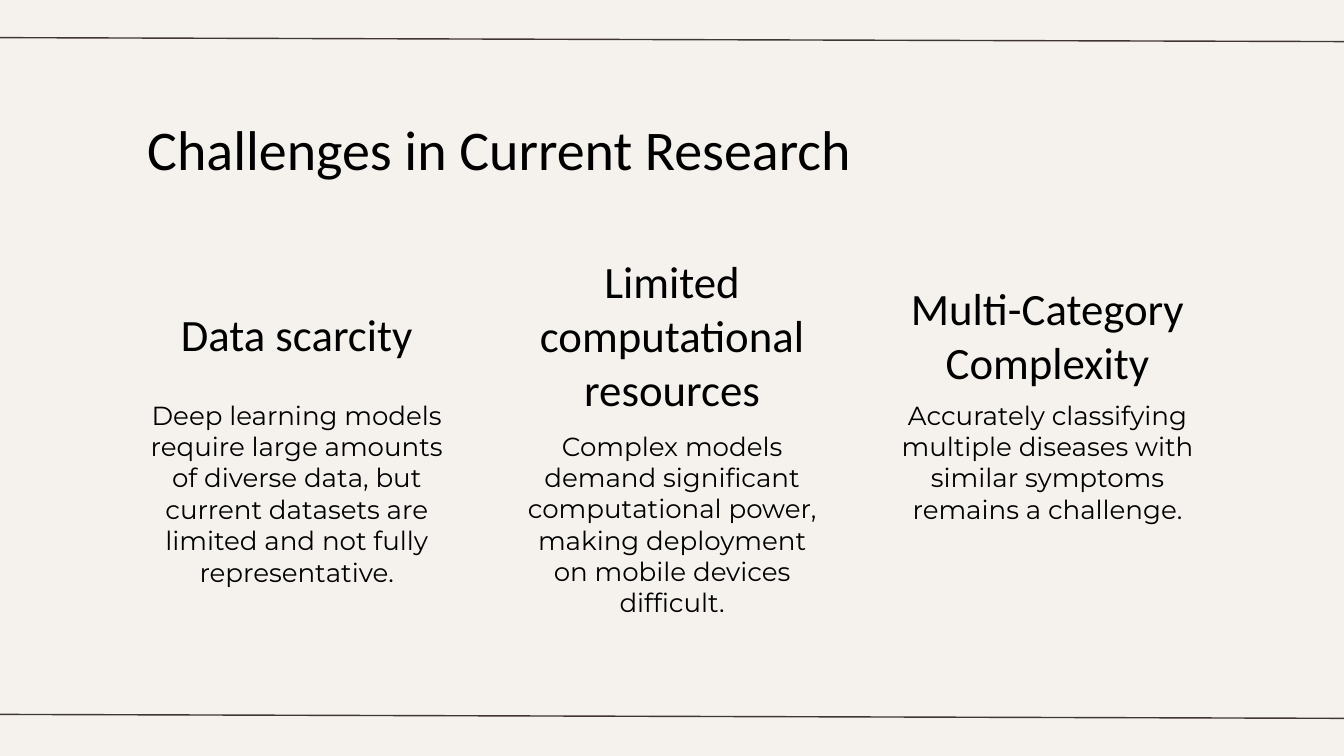
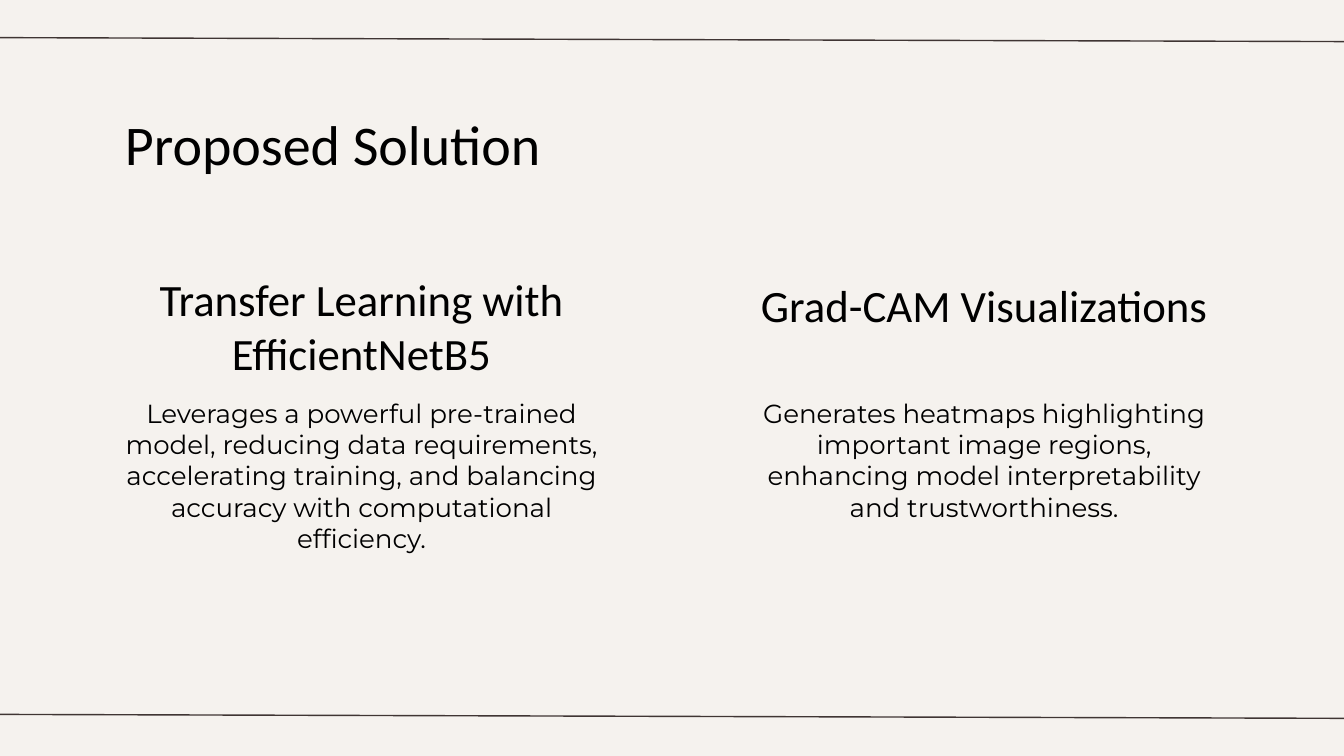
from lxml import etree
from pptx import Presentation
from pptx.dml.color import RGBColor
from pptx.enum.shapes import MSO_CONNECTOR
from pptx.enum.text import MSO_AUTO_SIZE, PP_ALIGN
from pptx.oxml.ns import qn
from pptx.util import Pt

STRAIGHT = MSO_CONNECTOR.STRAIGHT
GROW = MSO_AUTO_SIZE.SHAPE_TO_FIT_TEXT
LEFT, CENTER = PP_ALIGN.LEFT, PP_ALIGN.CENTER

CREAM = RGBColor(0xF5, 0xF2, 0xEE)
BROWN = RGBColor(0x3F, 0x35, 0x33)
BLACK = RGBColor(0x00, 0x00, 0x00)

# Content: each topic has a heading, its line count and top,
# then a body, its line count and top
SLIDES = [
    {
        "title": "Challenges in Current Research",
        "title_top": 123.1,
        "left": 157.7,
        "step": 402.2,
        "column_width": 320.4,
        "topics": [
            ("Data scarcity", 1, 329,
             "Deep learning models require large amounts of diverse data, but "
             "current datasets are limited and not fully representative.", 6, 427.7),
            ("Limited computational resources", 3, 272.2,
             "Complex models demand significant computational power, making "
             "deployment on mobile devices difficult.", 6, 460.8),
            ("Multi-Category Complexity", 2, 301,
             "Accurately classifying multiple diseases with similar symptoms "
             "remains a challenge.", 4, 427.7),
        ],
    },
    {
        "title": "Proposed Solution",
        "title_top": 117.4,
        "left": 133.9,
        "step": 667,
        "column_width": 507,
        "topics": [
            ("Transfer Learning with EfficientNetB5", 2, 291.6,
             "Leverages a powerful pre-trained model, reducing data requirements, "
             "accelerating training, and balancing accuracy with computational "
             "efficiency.", 5, 425.5),
            ("Grad-CAM Visualizations", 2, 298,
             "Generates heatmaps highlighting important image regions, enhancing "
             "model interpretability and trustworthiness.", 4, 425.5),
        ],
    },
]

# Shared layout and text styles
SLIDE_WIDTH, SLIDE_HEIGHT = 1440, 810
RULE_TOPS = (40.3, 765.4)
RULE_OVERHANG, RULE_DROP = 13.7, 4.3
TITLE_WIDTH = 1034
TITLE = {"font": "Calibri", "size": 60, "leading": 72, "align": LEFT}
HEADING = {"font": "Calibri", "size": 48, "leading": 57.6, "trim": 2}
BODY = {"font": "Montserrat", "size": 28, "leading": 33.6, "trim": 4}


def add_text(slide, text, left, top, width, *, font, size, leading,
             lines=1, trim=0, align=CENTER):
    height = lines * leading - trim
    box = slide.shapes.add_textbox(Pt(left), Pt(top), Pt(width), Pt(height))
    frame = box.text_frame
    frame.word_wrap = True
    frame.auto_size = GROW
    frame.margin_left = frame.margin_right = 0
    frame.margin_top = frame.margin_bottom = 0
    paragraph = frame.paragraphs[0]
    paragraph.alignment = align
    paragraph.line_spacing = Pt(leading)
    run = paragraph.add_run()
    run.text = text
    run.font.name = font
    run.font.size = Pt(size)
    run.font.color.rgb = BLACK


def add_rule(slide, top):
    rule = slide.shapes.add_connector(
        STRAIGHT, Pt(-RULE_OVERHANG), Pt(top),
        Pt(SLIDE_WIDTH + RULE_OVERHANG), Pt(top + RULE_DROP))
    rule.line.color.rgb = BROWN
    rule.line.width = Pt(1.5)
    etree.SubElement(rule._element.spPr, qn("a:effectLst"))


def add_slide(deck, content):
    slide = deck.slides.add_slide(deck.slide_layouts[6])
    slide.background.fill.solid()
    slide.background.fill.fore_color.rgb = CREAM
    for top in RULE_TOPS:
        add_rule(slide, top)
    add_text(slide, content["title"], content["left"], content["title_top"],
             TITLE_WIDTH, **TITLE)

    # Topic columns
    width = content["column_width"]
    for column, topic in enumerate(content["topics"]):
        heading, heading_lines, heading_top, body, body_lines, body_top = topic
        left = content["left"] + column * content["step"]
        add_text(slide, heading, left, heading_top, width,
                 lines=heading_lines, **HEADING)
        add_text(slide, body, left, body_top, width, lines=body_lines, **BODY)


def main():
    deck = Presentation()
    deck.slide_width, deck.slide_height = Pt(SLIDE_WIDTH), Pt(SLIDE_HEIGHT)
    for content in SLIDES:
        add_slide(deck, content)
    deck.save("out.pptx")


if __name__ == "__main__":
    main()
